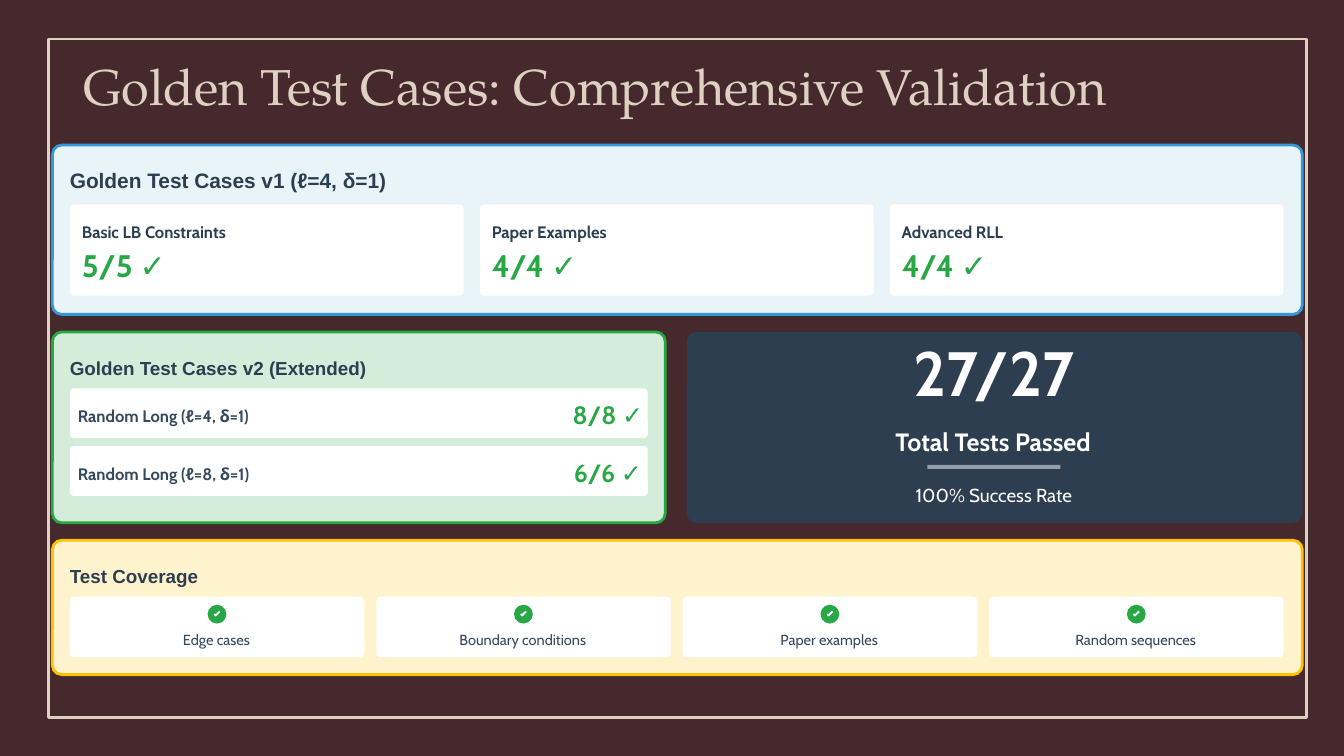
from dataclasses import dataclass

from lxml import etree
from pptx import Presentation
from pptx.dml.color import RGBColor
from pptx.enum.shapes import MSO_SHAPE
from pptx.enum.text import MSO_ANCHOR, PP_ALIGN
from pptx.oxml.ns import qn
from pptx.util import Inches, Pt

RECT, ROUNDED, OVAL = MSO_SHAPE.RECTANGLE, MSO_SHAPE.ROUNDED_RECTANGLE, MSO_SHAPE.OVAL
TOP, MIDDLE = MSO_ANCHOR.TOP, MSO_ANCHOR.MIDDLE
LEFT, CENTER = PP_ALIGN.LEFT, PP_ALIGN.CENTER

COLORS = {
    "maroon": "46292C", "sand": "DFD1C2", "white": "FFFFFF",
    "navy": "2C3E50", "slate": "34495E", "green": "28A745",
    "blue": "3498DB", "amber": "FFC107", "pale_blue": "E8F4F8",
    "pale_green": "D4EDDA", "pale_amber": "FFF3CD",
}


@dataclass(frozen=True)
class Box:
    x: float
    y: float
    w: float
    h: float


@dataclass(frozen=True)
class Style:
    size: float
    color: str
    font: str = "Cabin"
    bold: bool = True
    align: PP_ALIGN = LEFT
    spacing: float = 1.3
    anchor: MSO_ANCHOR = MIDDLE


@dataclass(frozen=True)
class Panel:
    box: Box
    fill: str
    line: str | None
    heading: str = ""
    heading_size: float = 10.05
    heading_spacing: float = 1.3


@dataclass(frozen=True)
class Result:
    label: str
    score: str


TITLE = Style(27, "sand", "TeX Gyre Pagella", False, spacing=0.8, anchor=TOP)
CARD_LABEL = Style(8.9, "navy")
CARD_SCORE = Style(16.7, "green", spacing=1.0)
ROW_LABEL = Style(8.9, "slate")
ROW_SCORE = Style(13.4, "green", spacing=1.1)
COVERAGE = Style(7.8, "slate", bold=False, align=CENTER, spacing=1.2)
TOTAL = Style(33.5, "white", align=CENTER, spacing=0.8)
TOTAL_LABEL = Style(13.4, "white", align=CENTER, spacing=1.1)
RATE = Style(10.05, "white", bold=False, align=CENTER)

PANELS = [
    Panel(Box(0.39, 1.08, 9.3, 1.26), "pale_blue", "blue",
          "Golden Test Cases v1 (ℓ=4, δ=1)", 11.2, 1.2),
    Panel(Box(0.39, 2.47, 4.56, 1.42), "pale_green", "green",
          "Golden Test Cases v2 (Extended)"),
    Panel(Box(5.11, 2.47, 4.58, 1.42), "navy", None),
    Panel(Box(0.39, 4.02, 9.3, 1.0), "pale_amber", "amber", "Test Coverage"),
]
V1_RESULTS = [
    Result("Basic LB Constraints", "5/5 ✓"),
    Result("Paper Examples", "4/4 ✓"),
    Result("Advanced RLL", "4/4 ✓"),
]
V2_RESULTS = [
    Result("Random Long (ℓ=4, δ=1)", "8/8 ✓"),
    Result("Random Long (ℓ=8, δ=1)", "6/6 ✓"),
]
COVERED = ["Edge cases", "Boundary conditions", "Paper examples", "Random sequences"]

CARD_X = 0.52
CARD_RADIUS, PANEL_RADIUS = 0.03, 0.07


def rgb(name: str) -> RGBColor:
    return RGBColor.from_string(COLORS[name])


def add_shape(s, kind, box: Box, fill: str | None, line: str | None = None,
              radius: float = 0):
    sp = s.shapes.add_shape(kind, Inches(box.x), Inches(box.y),
                            Inches(box.w), Inches(box.h))
    sp.shadow.inherit = False
    if fill:
        sp.fill.solid()
        sp.fill.fore_color.rgb = rgb(fill)
    else:
        sp.fill.background()
    if line:
        sp.line.color.rgb = rgb(line)
        sp.line.width = Pt(1.5)
    else:
        sp.line.fill.background()
    if radius:
        sp.adjustments[0] = radius / min(box.w, box.h)
    return sp


def add_text(s, box: Box, text: str, style: Style, inset_top: float = 0) -> None:
    tf = s.shapes.add_textbox(Inches(box.x), Inches(box.y),
                              Inches(box.w), Inches(box.h)).text_frame
    tf.word_wrap = True
    tf.vertical_anchor = style.anchor
    tf.margin_left = tf.margin_right = tf.margin_bottom = 0
    tf.margin_top = Inches(inset_top)
    p = tf.paragraphs[0]
    p.text = text
    p.alignment = style.align
    p.line_spacing = style.spacing
    p.font.name = style.font
    p.font.size = Pt(style.size)
    p.font.bold = style.bold
    p.font.color.rgb = rgb(style.color)


def add_card(s, box: Box) -> None:
    add_shape(s, ROUNDED, box, "white", radius=CARD_RADIUS)


def add_panel(s, panel: Panel) -> None:
    b = panel.box
    add_shape(s, ROUNDED, b, panel.fill, panel.line, PANEL_RADIUS)
    if panel.heading:
        style = Style(panel.heading_size, "navy", "Arial", spacing=panel.heading_spacing)
        add_text(s, Box(CARD_X, b.y + 0.13, b.w - 0.2, 0.22), panel.heading, style)


def add_check_badge(s, cx: float, cy: float) -> None:
    """Draw a green disc with a white tick, centred on (cx, cy)."""
    add_shape(s, OVAL, Box(cx - 0.07, cy - 0.07, 0.14, 0.14), "green")
    tick = [(Inches(cx + dx), Inches(cy + dy))
            for dx, dy in ((-0.02, 0), (-0.01, 0.01), (0.02, -0.02))]
    builder = s.shapes.build_freeform(*tick[0])
    builder.add_line_segments(tick[1:], close=False)
    sp = builder.convert_to_shape()
    sp.shadow.inherit = False
    sp.fill.background()
    sp.line.color.rgb = rgb("white")
    sp.line.width = Pt(1)


def add_v1_results(s) -> None:
    for i, result in enumerate(V1_RESULTS):
        x = CARD_X + i * 3.05
        add_card(s, Box(x, 1.52, 2.93, 0.68))
        add_text(s, Box(x + 0.09, 1.61, 2.8, 0.19), result.label, CARD_LABEL)
        add_text(s, Box(x + 0.09, 1.83, 2.85, 0.28), result.score, CARD_SCORE)


def add_v2_results(s) -> None:
    for i, result in enumerate(V2_RESULTS):
        y = 2.89 + i * 0.43
        add_card(s, Box(CARD_X, y, 4.3, 0.37))
        add_text(s, Box(0.58, y + 0.09, 1.34, 0.19), result.label, ROW_LABEL)
        add_text(s, Box(4.26 + i * 0.01, y + 0.06, 0.58, 0.25), result.score, ROW_SCORE)


def add_total(s) -> None:
    add_text(s, Box(6.73, 2.59, 1.33, 0.46), "27/27", TOTAL)
    add_text(s, Box(6.61, 3.15, 1.56, 0.25), "Total Tests Passed", TOTAL_LABEL)
    divider = add_shape(s, RECT, Box(6.9, 3.46, 0.99, 0.03), "white")
    color = divider.element.spPr.find(qn("a:solidFill"))[0]
    etree.SubElement(color, qn("a:alpha")).set("val", "50000")
    add_text(s, Box(6.78, 3.55, 1.23, 0.22), "100% Success Rate", RATE)


def add_coverage(s) -> None:
    for i, label in enumerate(COVERED):
        x = CARD_X + i * 2.28
        add_card(s, Box(x, 4.44, 2.19, 0.45))
        add_check_badge(s, x + 2.19 / 2, 4.57)
        add_text(s, Box(x + 0.03, 4.67, 2.12, 0.15), label, COVERAGE)


def main() -> None:
    prs = Presentation()
    prs.slide_width = Inches(10)
    prs.slide_height = prs.slide_width * 9 // 16
    s = prs.slides.add_slide(prs.slide_layouts[6])
    s.background.fill.solid()
    s.background.fill.fore_color.rgb = rgb("maroon")
    add_shape(s, RECT, Box(0.36, 0.29, 9.36, 5.05), None, "sand")
    add_text(s, Box(0.62, 0.4, 8.69, 0.47),
             "Golden Test Cases: Comprehensive Validation", TITLE, inset_top=0.1)
    for panel in PANELS:
        add_panel(s, panel)
    add_v1_results(s)
    add_v2_results(s)
    add_total(s)
    add_coverage(s)
    prs.save("out.pptx")


if __name__ == "__main__":
    main()
